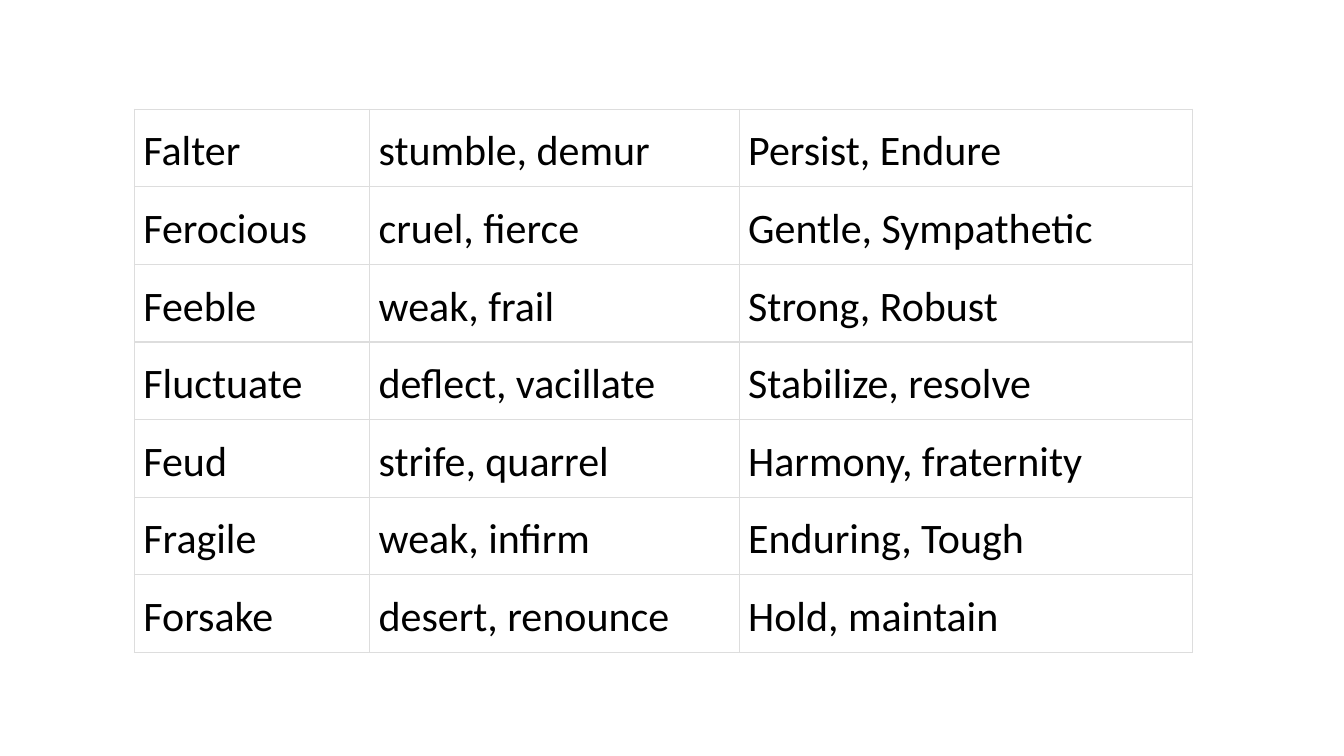
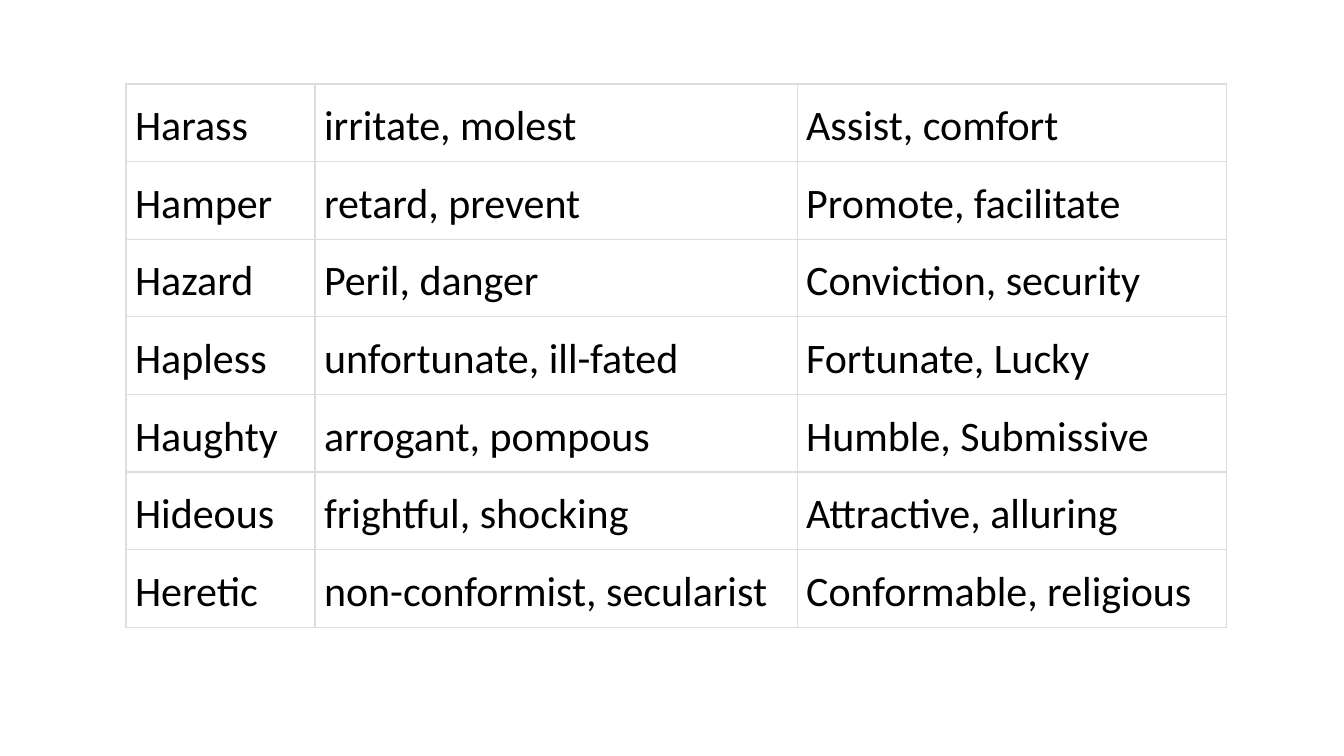
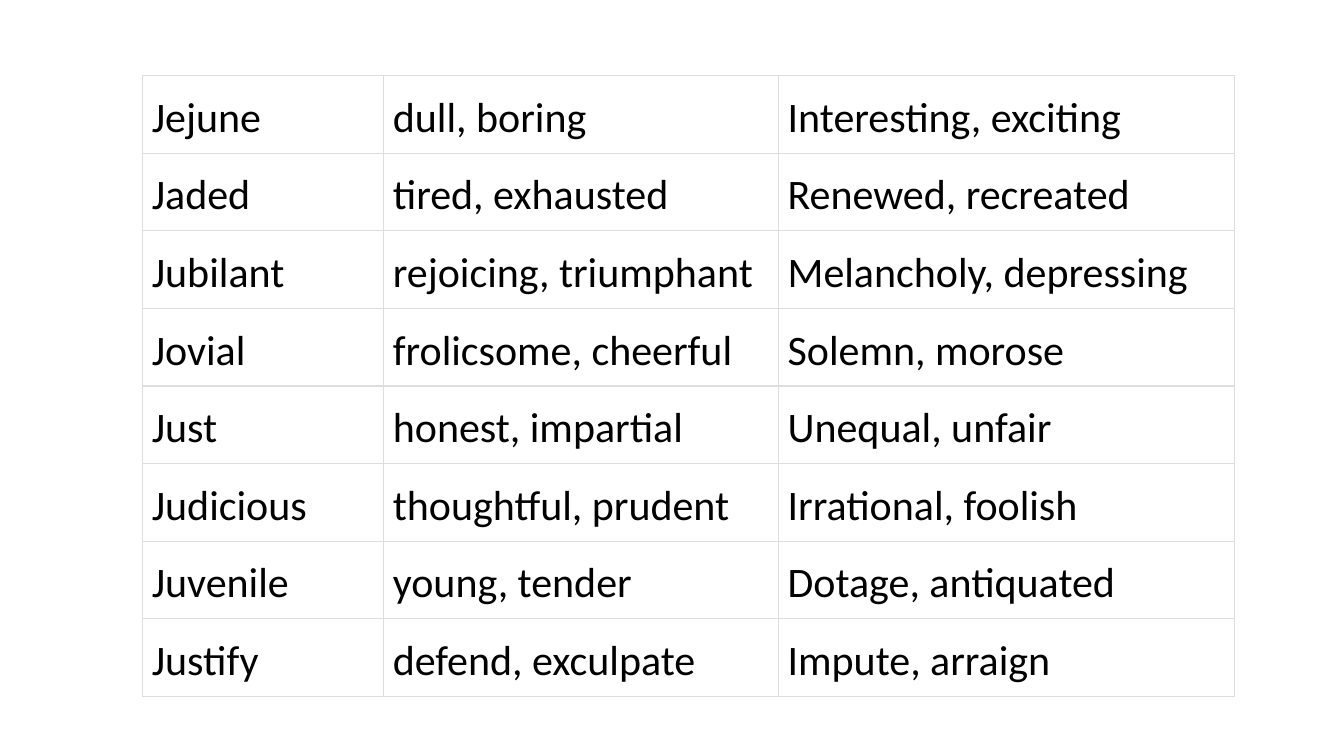
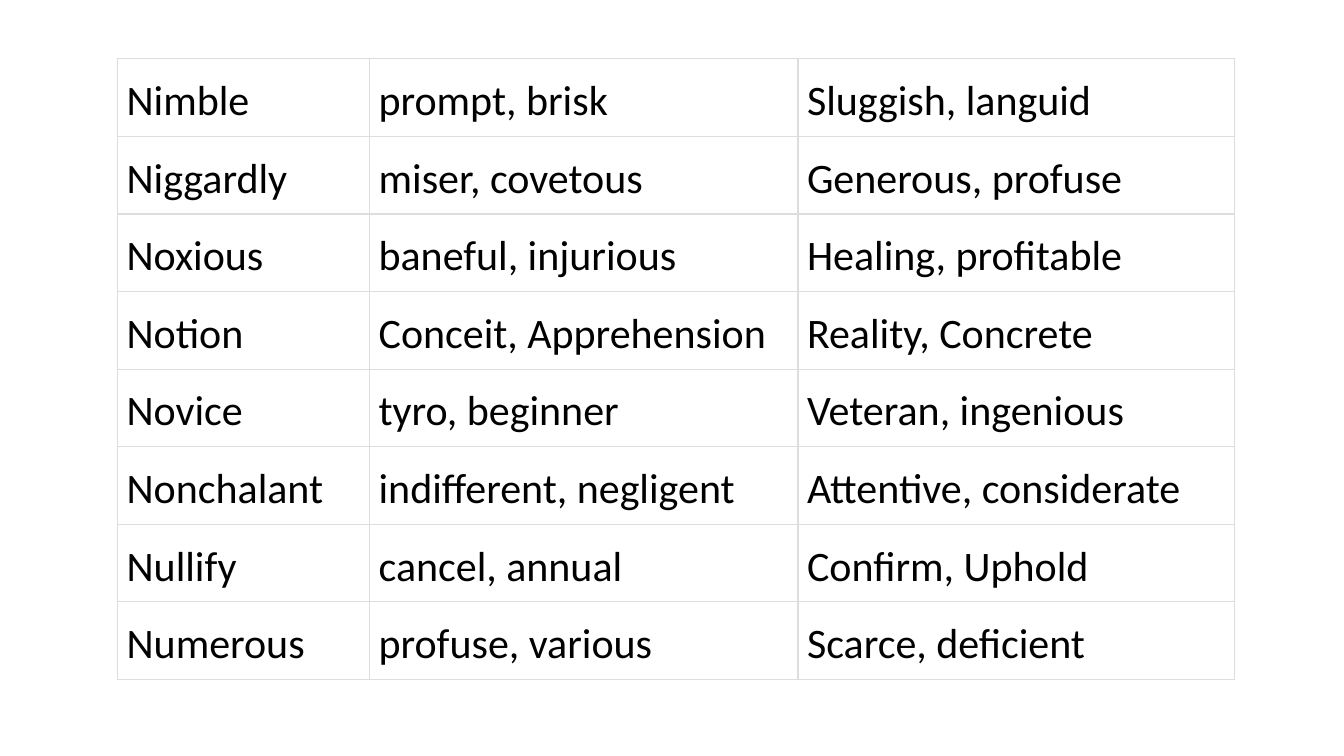
from dataclasses import dataclass

from lxml import etree
from pptx import Presentation
from pptx.dml.color import RGBColor
from pptx.oxml.ns import qn
from pptx.util import Emu, Inches, Pt


@dataclass(frozen=True)
class Theme:
    font: str = "Calibri"
    size: int = 30
    line_spacing: float = 1.15
    ink: str = "000000"
    paper: str = "FFFFFF"
    border: str = "DDDDDD"
    border_pt: float = 1
    inset: float = 0.09
    row_height: float = 0.77


@dataclass(frozen=True)
class WordTable:
    """Place and column widths in grid units; rows hold word, synonyms, antonyms."""
    left: float
    top: float
    columns: tuple[float, ...]
    rows: tuple[tuple[str, str, str], ...]


THEME = Theme()

# The slide is a grid of 160 by 90 units, twelve to the inch
GRID_COLUMNS, GRID_ROWS, UNITS_PER_INCH = 160, 90, 12

# Vocabulary, one table per slide
WORD_TABLES = (
    WordTable(16, 13, (28, 44, 54), (
        ("Falter", "stumble, demur", "Persist, Endure"),
        ("Ferocious", "cruel, fierce", "Gentle, Sympathetic"),
        ("Feeble", "weak, frail", "Strong, Robust"),
        ("Fluctuate", "deflect, vacillate", "Stabilize, resolve"),
        ("Feud", "strife, quarrel", "Harmony, fraternity"),
        ("Fragile", "weak, infirm", "Enduring, Tough"),
        ("Forsake", "desert, renounce", "Hold, maintain"),
    )),
    WordTable(15, 10, (22.5, 57.4, 51.1), (
        ("Harass", "irritate, molest", "Assist, comfort"),
        ("Hamper", "retard, prevent", "Promote, facilitate"),
        ("Hazard", "Peril, danger", "Conviction, security"),
        ("Hapless", "unfortunate, ill-fated", "Fortunate, Lucky"),
        ("Haughty", "arrogant, pompous", "Humble, Submissive"),
        ("Hideous", "frightful, shocking", "Attractive, alluring"),
        ("Heretic", "non-conformist, secularist", "Conformable, religious"),
    )),
    WordTable(17, 9, (28.7, 47, 54.3), (
        ("Jejune", "dull, boring", "Interesting, exciting"),
        ("Jaded", "tired, exhausted", "Renewed, recreated"),
        ("Jubilant", "rejoicing, triumphant", "Melancholy, depressing"),
        ("Jovial", "frolicsome, cheerful", "Solemn, morose"),
        ("Just", "honest, impartial", "Unequal, unfair"),
        ("Judicious", "thoughtful, prudent", "Irrational, foolish"),
        ("Juvenile", "young, tender", "Dotage, antiquated"),
        ("Justify", "defend, exculpate", "Impute, arraign"),
    )),
    WordTable(14, 7, (30, 51, 52), (
        ("Nimble", "prompt, brisk", "Sluggish, languid"),
        ("Niggardly", "miser, covetous", "Generous, profuse"),
        ("Noxious", "baneful, injurious", "Healing, profitable"),
        ("Notion", "Conceit, Apprehension", "Reality, Concrete"),
        ("Novice", "tyro, beginner", "Veteran, ingenious"),
        ("Nonchalant", "indifferent, negligent", "Attentive, considerate"),
        ("Nullify", "cancel, annual", "Confirm, Uphold"),
        ("Numerous", "profuse, various", "Scarce, deficient"),
    )),
)


def grid(units: float) -> Emu:
    return Inches(units / UNITS_PER_INCH)


def add_borders(cell) -> None:
    tc_pr = cell._tc.get_or_add_tcPr()
    for side in ("lnL", "lnR", "lnT", "lnB"):
        line = etree.SubElement(tc_pr, qn(f"a:{side}"), w=str(Pt(THEME.border_pt)))
        fill = etree.SubElement(line, qn("a:solidFill"))
        etree.SubElement(fill, qn("a:srgbClr"), val=THEME.border)


def fill_cell(cell, words: str) -> None:
    # Borders must come before the fill in the cell properties
    add_borders(cell)
    cell.fill.solid()
    cell.fill.fore_color.rgb = RGBColor.from_string(THEME.paper)
    cell.margin_left = cell.margin_right = Inches(THEME.inset)
    cell.margin_top = cell.margin_bottom = Inches(THEME.inset)

    p = cell.text_frame.paragraphs[0]
    p.text = words
    p.line_spacing = THEME.line_spacing
    font = p.runs[0].font
    font.name, font.size = THEME.font, Pt(THEME.size)
    font.color.rgb = RGBColor.from_string(THEME.ink)


def add_word_table(s, words: WordTable) -> None:
    row_count = len(words.rows)
    table = s.shapes.add_table(
        row_count, len(words.columns), grid(words.left), grid(words.top),
        grid(sum(words.columns)), Inches(THEME.row_height * row_count)).table
    table.first_row = table.horz_banding = False
    for column, width in zip(table.columns, words.columns):
        column.width = grid(width)
    for row, entry in zip(table.rows, words.rows):
        row.height = Inches(THEME.row_height)
        for cell, text in zip(row.cells, entry):
            fill_cell(cell, text)


def main() -> None:
    prs = Presentation()
    prs.slide_width, prs.slide_height = grid(GRID_COLUMNS), grid(GRID_ROWS)
    blank = prs.slide_layouts[6]
    for words in WORD_TABLES:
        add_word_table(prs.slides.add_slide(blank), words)
    prs.save("out.pptx")


if __name__ == "__main__":
    main()
